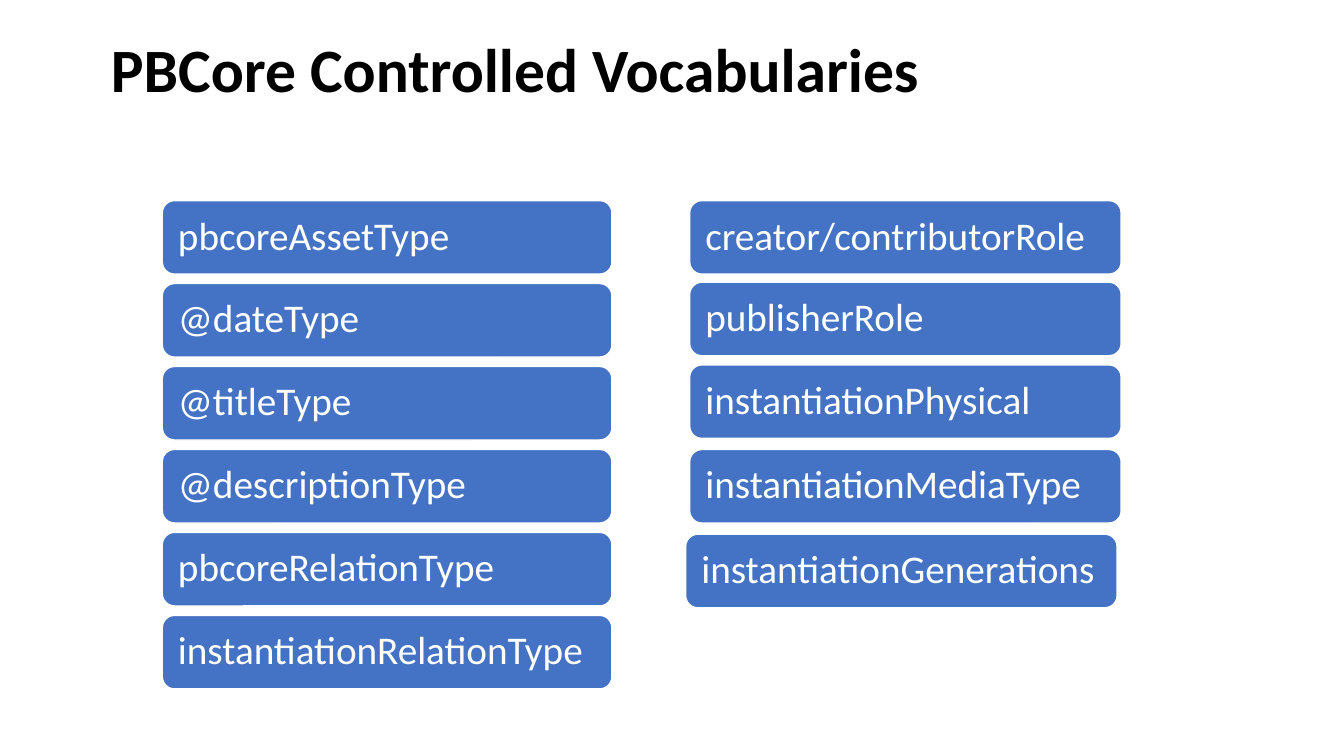
from pptx import Presentation
from pptx.dml.color import RGBColor
from pptx.enum.shapes import MSO_SHAPE as Shape
from pptx.enum.text import MSO_ANCHOR as Anchor, PP_ALIGN as Align
from pptx.util import Inches, Pt

TITLE = "PBCore Controlled Vocabularies"
LEFT = ["pbcoreAssetType", "@dateType", "@titleType", "@descriptionType",
        "pbcoreRelationType", "instantiationRelationType"]
RIGHT = [("creator/contributorRole", 6.84, 1.99),
         ("publisherRole", 6.84, 2.8),
         ("instantiationPhysical", 6.84, 3.62),
         ("instantiationMediaType", 6.84, 4.46),
         ("instantiationGenerations", 6.8, 5.3)]

BLUE = RGBColor(0x44, 0x72, 0xC4)
WHITE = RGBColor(0xFF, 0xFF, 0xFF)
BLACK = RGBColor(0, 0, 0)
FONT = "Calibri"
TOP, STEP, HIGH = 1.99, 0.823, 0.73


def write(frame, text, size, color, bold=False):
    frame.word_wrap = True
    frame.text = text
    line = frame.paragraphs[0]
    line.alignment = Align.LEFT
    line.line_spacing = 0.9
    font = line.runs[0].font
    font.name, font.size, font.bold = FONT, Pt(size), bold
    font.color.rgb = color


def add_term(slide, text, x, y, wide):
    box = slide.shapes.add_shape(Shape.ROUNDED_RECTANGLE, Inches(x), Inches(y),
                                 Inches(wide), Inches(HIGH))
    box.shadow.inherit = False
    box.fill.solid()
    box.fill.fore_color.rgb = BLUE
    box.line.color.rgb = WHITE
    box.line.width = Pt(1)
    frame = box.text_frame
    frame.vertical_anchor = Anchor.MIDDLE
    frame.margin_left = Inches(0.12)
    frame.margin_right = 0
    write(frame, text, 28, WHITE)


def main():
    deck = Presentation()
    deck.slide_width, deck.slide_height = Inches(13.33), Inches(7.5)
    slide = deck.slides.add_slide(deck.slide_layouts[5])

    title = slide.shapes.title
    title.left, title.top = Inches(1), Inches(0.34)
    title.width, title.height = Inches(11.75), Inches(0.8)
    title.text_frame.vertical_anchor = Anchor.TOP
    write(title.text_frame, TITLE, 44, BLACK, True)

    for row, text in enumerate(LEFT):
        add_term(slide, text, 1.61, TOP + row * STEP, 4.46)
    for text, x, y in RIGHT:
        add_term(slide, text, x, y, 4.28)

    deck.save("out.pptx")


if __name__ == "__main__":
    main()
